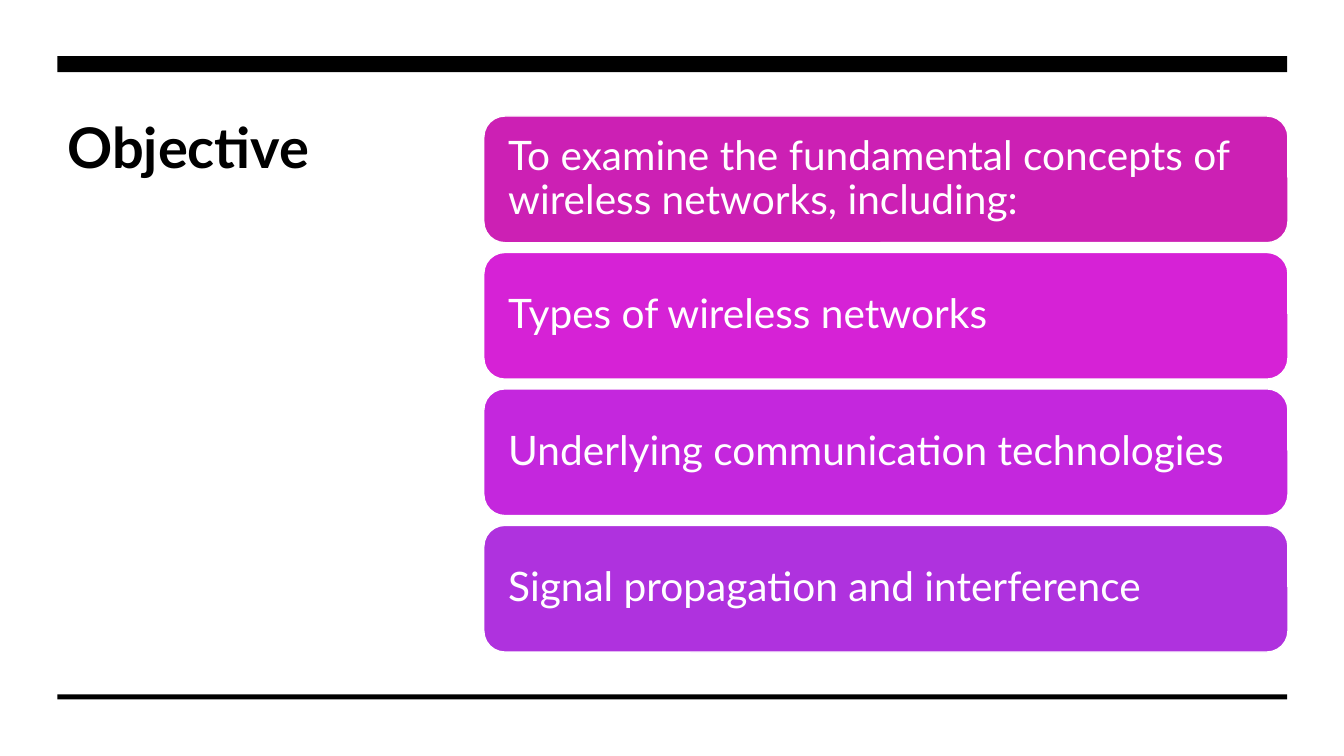
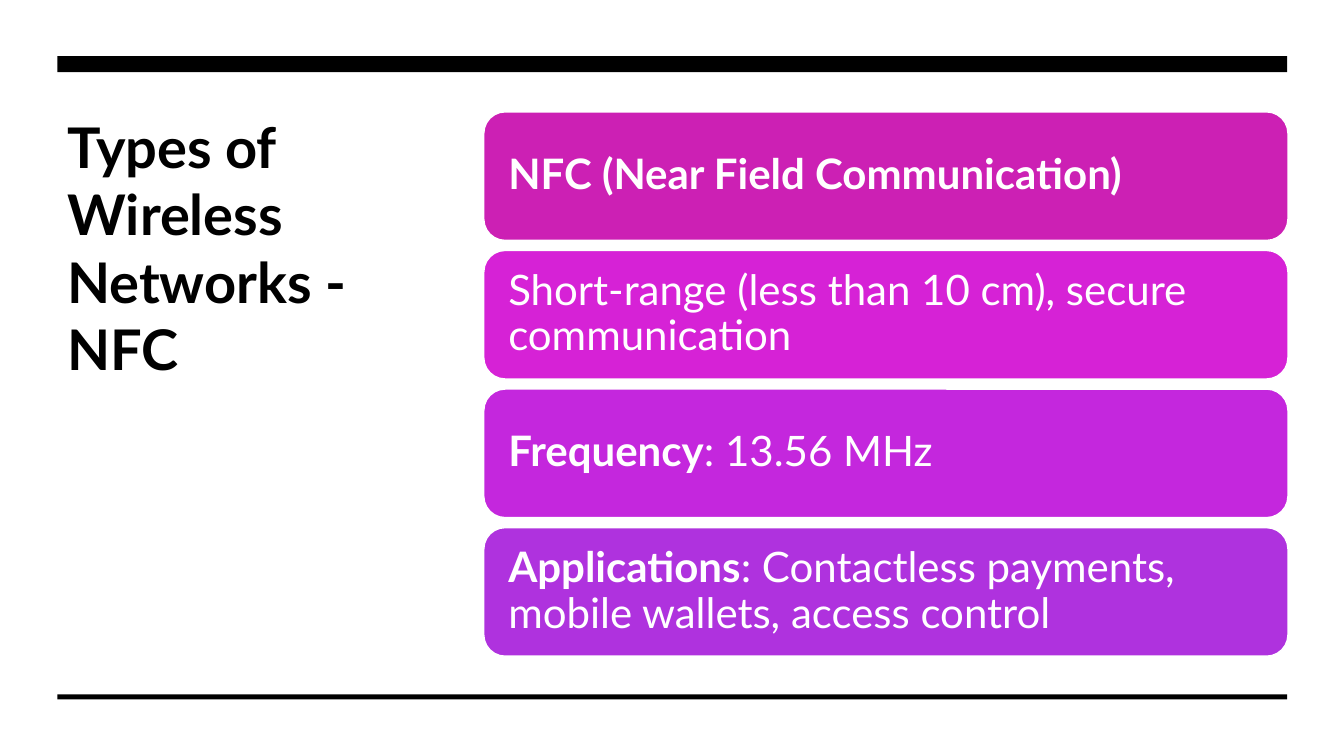
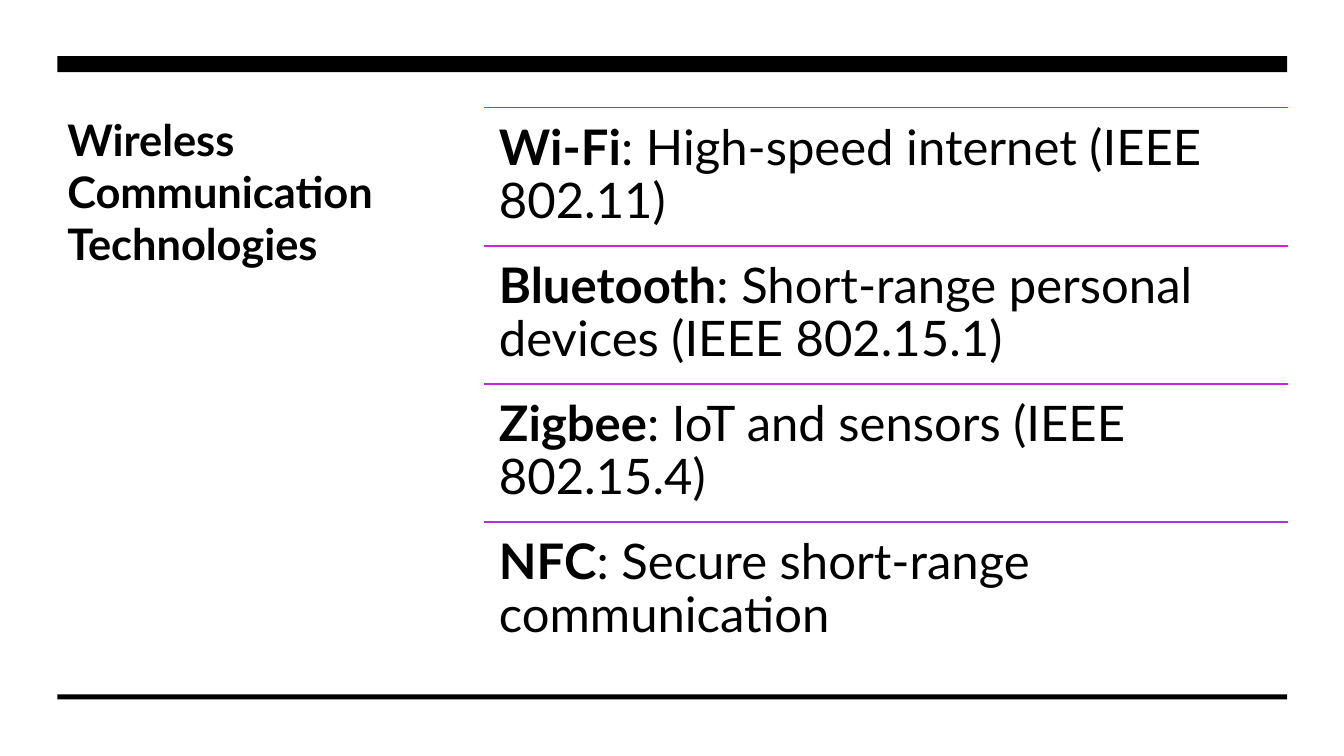
from dataclasses import dataclass
from typing import Optional

from lxml.etree import SubElement
from pptx import Presentation
from pptx.dml.color import RGBColor
from pptx.enum.shapes import MSO_CONNECTOR, MSO_SHAPE
from pptx.enum.text import MSO_ANCHOR, PP_ALIGN
from pptx.oxml.ns import qn
from pptx.slide import Slide
from pptx.text.text import TextFrame
from pptx.util import Pt


@dataclass(frozen=True)
class Theme:
    font: str = "Lato"
    ink: RGBColor = RGBColor(0, 0, 0)
    paper: RGBColor = RGBColor(255, 255, 255)
    accents: tuple[RGBColor, ...] = tuple(
        map(RGBColor.from_string, ("CC20B4", "D622D6", "C427DD", "AF32DE")))
    title_size: float = 40
    small_title_size: float = 31
    objective_size: float = 29
    card_size: float = 30
    row_size: float = 35


@dataclass(frozen=True)
class Box:
    left: float
    top: float
    width: float
    height: float

    def lengths(self) -> tuple[Pt, Pt, Pt, Pt]:
        return Pt(self.left), Pt(self.top), Pt(self.width), Pt(self.height)


@dataclass(frozen=True)
class Item:
    lead: str = ""  # bold opening words
    rest: str = ""


@dataclass(frozen=True)
class Topic:
    title: str
    title_size: float
    item_size: float
    items: tuple[Item, ...]
    card_height: Optional[float] = None  # ruled rows when absent


THEME = Theme()
TITLE_BOX = Box(41, 77, 248.4, 320.4)
BARS = (Box(41, 40.2, 878.4, 11.4), Box(41, 495.9, 878.4, 3.6))
BODY = Box(345.6, 77, 574.4, 394.6)
GAP_PER_SIZE = 0.24  # card gap relative to the text size
CARD_INSET = 13
ROW_INSET = 10.8

TOPICS = (
    Topic("Objective", THEME.title_size, THEME.objective_size, (
        Item(rest="To examine the fundamental concepts of wireless networks, including:"),
        Item(rest="Types of wireless networks"),
        Item(rest="Underlying communication technologies"),
        Item(rest="Signal propagation and interference"),
    ), card_height=90.5),
    Topic("Types of Wireless Networks - NFC", THEME.title_size, THEME.card_size, (
        Item("NFC (Near Field Communication)"),
        Item(rest="Short-range (less than 10 cm), secure communication"),
        Item("Frequency", ": 13.56 MHz"),
        Item("Applications", ": Contactless payments, mobile wallets, access control"),
    ), card_height=91.8),
    Topic("Wireless Communication Technologies", THEME.small_title_size, THEME.row_size, (
        Item("Wi-Fi", ": High-speed internet (IEEE 802.11)"),
        Item("Bluetooth", ": Short-range personal devices (IEEE 802.15.1)"),
        Item("Zigbee", ": IoT and sensors (IEEE 802.15.4)"),
        Item("NFC", ": Secure short-range communication"),
    )),
)


def write(frame: TextFrame, item: Item, size: float, color: RGBColor,
          inset_x: float, inset_y: float, spacing: float,
          anchor: MSO_ANCHOR = MSO_ANCHOR.TOP) -> None:
    frame.word_wrap = True
    frame.vertical_anchor = anchor
    frame.margin_left = frame.margin_right = Pt(inset_x)
    frame.margin_top = frame.margin_bottom = Pt(inset_y)
    paragraph = frame.paragraphs[0]
    paragraph.alignment = PP_ALIGN.LEFT
    paragraph.line_spacing = spacing
    paragraph.font.name = THEME.font
    paragraph.font.size = Pt(size)
    paragraph.font.color.rgb = color
    for text, bold in ((item.lead, True), (item.rest, False)):
        if text:
            run = paragraph.add_run()
            run.text = text
            run.font.bold = bold


def add_frame(slide: Slide, topic: Topic) -> None:
    """Title and the two black bars shared by every slide."""
    title = slide.shapes.add_textbox(*TITLE_BOX.lengths())
    write(title.text_frame, Item(topic.title), topic.title_size, THEME.ink, 7.2, 3.6, 1.0)
    for box in BARS:
        bar = slide.shapes.add_shape(MSO_SHAPE.RECTANGLE, *box.lengths())
        bar.shadow.inherit = False
        bar.fill.solid()
        bar.fill.fore_color.rgb = THEME.ink
        bar.line.fill.background()


def add_cards(slide: Slide, topic: Topic, height: float) -> None:
    """Coloured cards, centred vertically in the body."""
    pitch = height + GAP_PER_SIZE * topic.item_size
    total = pitch * (len(topic.items) - 1) + height
    first_top = BODY.top + (BODY.height - total) / 2
    for index, (item, accent) in enumerate(zip(topic.items, THEME.accents)):
        box = Box(BODY.left, first_top + index * pitch, BODY.width, height)
        card = slide.shapes.add_shape(MSO_SHAPE.ROUNDED_RECTANGLE, *box.lengths())
        card.shadow.inherit = False
        card.fill.solid()
        card.fill.fore_color.rgb = accent
        card.line.color.rgb = THEME.paper
        card.line.width = Pt(1)
        write(card.text_frame, item, topic.item_size, THEME.paper,
              CARD_INSET, CARD_INSET, 0.9, MSO_ANCHOR.MIDDLE)


def add_rows(slide: Slide, topic: Topic) -> None:
    """Equal rows, each under a thin coloured rule."""
    height = BODY.height / len(topic.items)
    for index, (item, accent) in enumerate(zip(topic.items, THEME.accents)):
        box = Box(BODY.left, BODY.top + index * height, BODY.width, height)
        rule = slide.shapes.add_connector(
            MSO_CONNECTOR.STRAIGHT, Pt(box.left), Pt(box.top),
            Pt(box.left + box.width), Pt(box.top))
        rule.line.color.rgb = accent
        rule.line.width = Pt(1)
        SubElement(rule._element.spPr, qn("a:effectLst"))
        row = slide.shapes.add_textbox(*box.lengths())
        write(row.text_frame, item, topic.item_size, THEME.ink, ROW_INSET, ROW_INSET, 0.9)


def main() -> None:
    deck = Presentation()
    deck.slide_width, deck.slide_height = Pt(960), Pt(540)
    blank = deck.slide_layouts[6]
    for topic in TOPICS:
        slide = deck.slides.add_slide(blank)
        add_frame(slide, topic)
        if topic.card_height is None:
            add_rows(slide, topic)
        else:
            add_cards(slide, topic, topic.card_height)
    deck.save("out.pptx")


if __name__ == "__main__":
    main()
